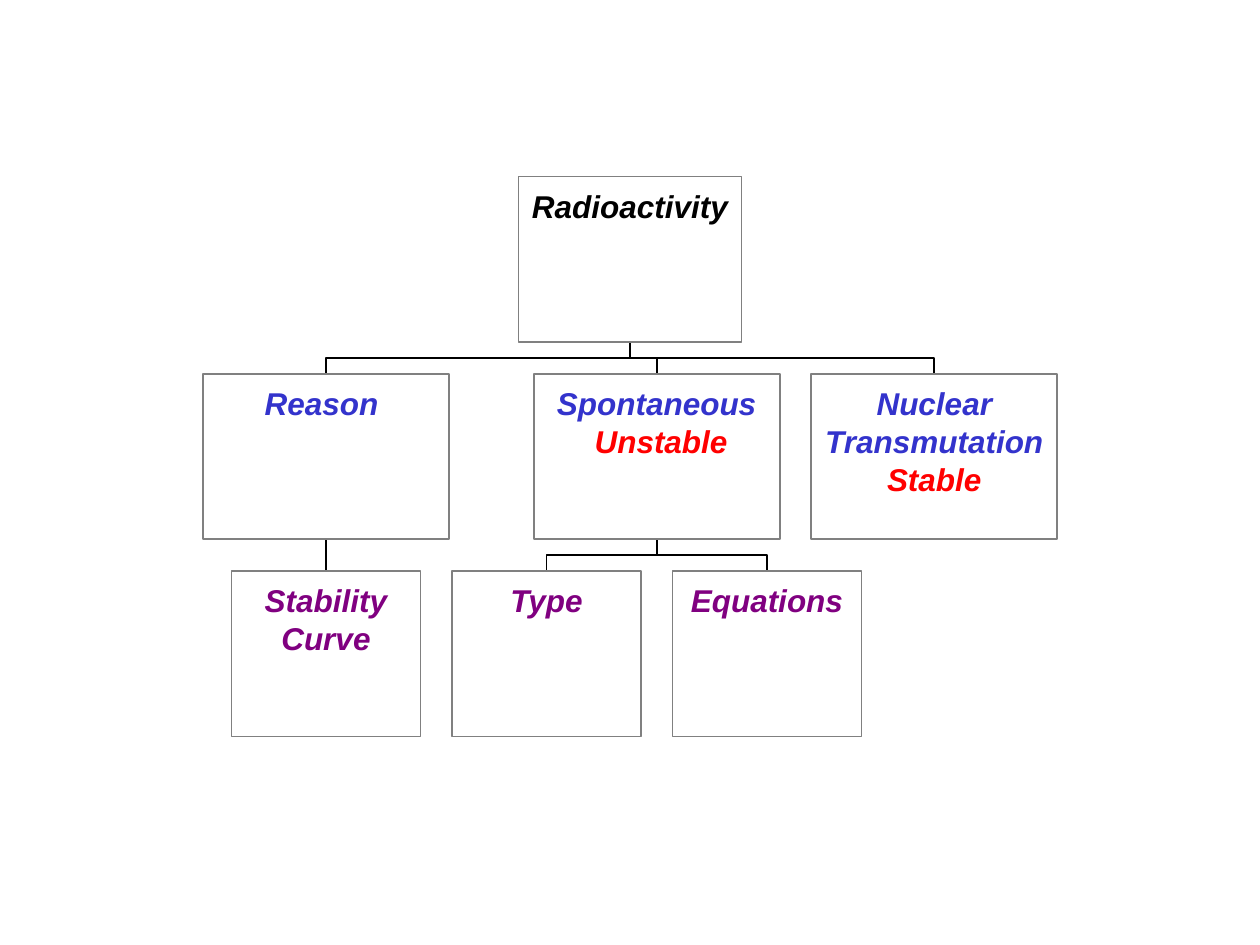
import pptx
import pptx.util
import pptx.dml.color
import pptx.enum.shapes
import pptx.enum.text

Pt = pptx.util.Pt
COLORS = {
    "box": "FFFFFF",
    "border": "808080",
    "link": "000000",
    "topic": "000000",
    "branch": "3333CC",
    "stability": "FF0000",
    "leaf": "800080",
}
TOP, BOX_HEIGHT, GAP = 100.8, 94.7, 18
WIDTHS = [127.5, 140.6, 108]  # one for each level

# name: (level, centre, parent, [(line, colour), ...])
TOPICS = {
    "radioactivity": (0, 360, None, [("Radioactivity", "topic")]),
    "reason": (1, 186.3, "radioactivity", [("Reason ", "branch")]),
    "spontaneous": (1, 375.3, "radioactivity",
                    [("Spontaneous", "branch"), (" Unstable", "stability")]),
    "transmutation": (1, 533.9, "radioactivity",
                      [("Nuclear", "branch"), ("Transmutation", "branch"),
                       ("Stable", "stability")]),
    "curve": (2, 186.3, "reason", [("Stability", "leaf"), ("Curve", "leaf")]),
    "type": (2, 312.3, "spontaneous", [("Type", "leaf")]),
    "equations": (2, 438.3, "spontaneous", [("Equations", "leaf")]),
}


def color(name):
    return pptx.dml.color.RGBColor.from_string(COLORS[name])


def level_top(level):
    return TOP + level * (BOX_HEIGHT + GAP)


def add_link(slide, parent_center, child_center, child_top):
    """Join a parent's bottom to a child's top, leaving the parent vertically."""
    kinds = pptx.enum.shapes.MSO_CONNECTOR
    if parent_center == child_center:
        link = slide.shapes.add_connector(
            kinds.STRAIGHT, Pt(parent_center), Pt(child_top - GAP),
            Pt(child_center), Pt(child_top))
    else:
        # Laid out sideways about its middle, then turned a quarter clockwise.
        middle_x = (parent_center + child_center) / 2
        middle_y = child_top - GAP / 2
        half_span = (parent_center - child_center) / 2
        link = slide.shapes.add_connector(
            kinds.ELBOW, Pt(middle_x - GAP / 2), Pt(middle_y - half_span),
            Pt(middle_x + GAP / 2), Pt(middle_y + half_span))
        link._element.spPr.xfrm.set("rot", str(90 * 60000))
    link.line.color.rgb = color("link")
    link.line.width = Pt(1)
    link._element.spPr.append(pptx.oxml.parse_xml(
        '<a:effectLst xmlns:a="http://schemas.openxmlformats.org/drawingml/2006/main"/>'))


def add_topic(slide, level, center, lines):
    width = WIDTHS[level]
    box = slide.shapes.add_shape(
        pptx.enum.shapes.MSO_SHAPE.RECTANGLE, Pt(center - width / 2),
        Pt(level_top(level)), Pt(width), Pt(BOX_HEIGHT))
    box.shadow.inherit = False
    box.fill.solid()
    box.fill.fore_color.rgb = color("box")
    box.line.color.rgb = color("border")
    box.line.width = Pt(1)

    frame = box.text_frame
    frame.word_wrap = False
    frame.vertical_anchor = pptx.enum.text.MSO_ANCHOR.TOP
    frame.margin_top = Pt(6)
    frame.text = "\n".join(line for line, _ in lines)
    for paragraph, (_, line_color) in zip(frame.paragraphs, lines):
        paragraph.alignment = pptx.enum.text.PP_ALIGN.CENTER
        font = paragraph.font
        font.name = "Arial"
        font.size = Pt(18)
        font.bold = font.italic = True
        font.color.rgb = color(line_color)


def main():
    deck = pptx.Presentation()
    deck.slide_width, deck.slide_height = Pt(720), Pt(540)
    slide = deck.slides.add_slide(deck.slide_layouts[6])
    for level, center, parent, _ in TOPICS.values():
        if parent:
            add_link(slide, TOPICS[parent][1], center, level_top(level))
    for level, center, _, lines in TOPICS.values():
        add_topic(slide, level, center, lines)
    deck.save("out.pptx")


if __name__ == "__main__":
    main()
